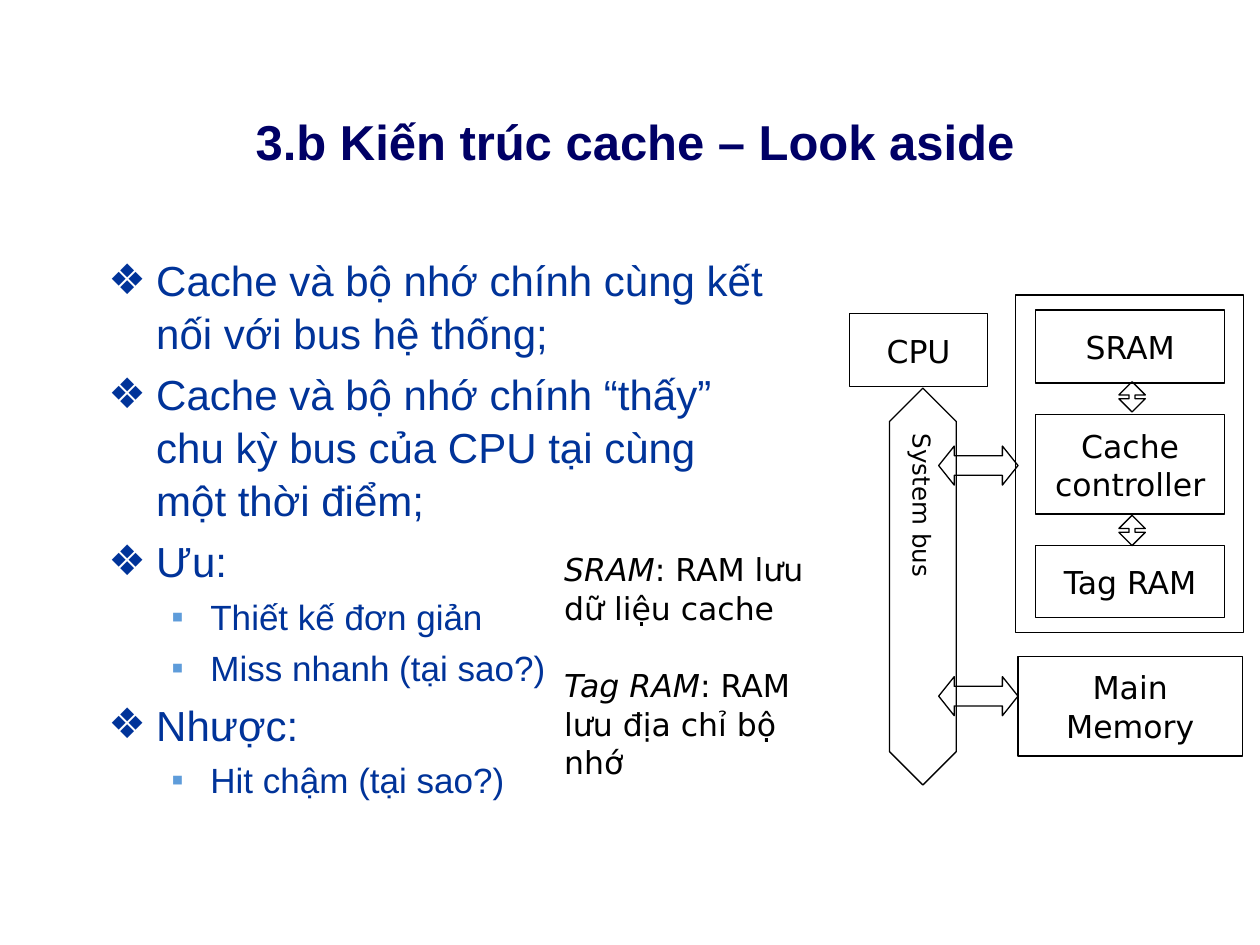
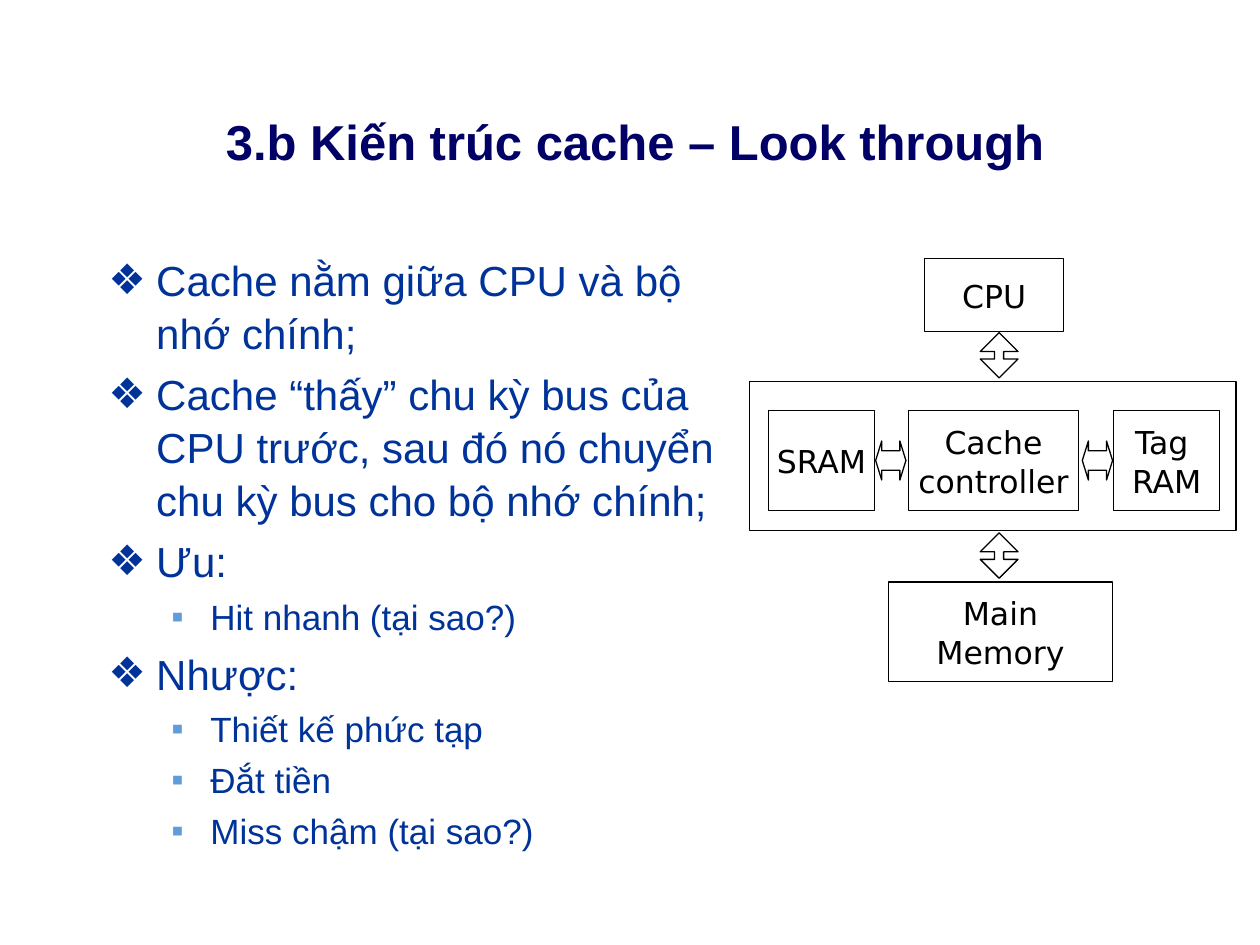
from lxml.etree import SubElement
from pptx import Presentation
from pptx.dml.color import RGBColor
from pptx.enum.shapes import MSO_SHAPE as SHAPE
from pptx.enum.text import MSO_ANCHOR as ANCHOR, MSO_AUTO_SIZE as AUTO, PP_ALIGN as ALIGN
from pptx.oxml.ns import qn
from pptx.util import Inches, Pt

NAVY, BLUE, SKY, BLACK = "000066", "003399", "5E9CDA", "000000"
HEAD, DIAGRAM = "Arial", "DejaVu Sans"
LEVELS = [
    dict(size=24, bullet="❖", color=BLUE, left=0.38, hang=0.38),
    dict(size=20, bullet="▪", color=SKY, left=0.81, hang=0.31),
]
CPU_SIZE = (1.1, 0.58)
MEMORY_SIZE = (1.78, 0.79)


def rgb(value):
    return RGBColor.from_string(value)


class Deck:
    def __init__(self):
        self.prs = Presentation()
        self.prs.slide_width, self.prs.slide_height = Inches(10), Inches(7.5)
        self.slide = None

    def place(self, sp, x, y, w, h):
        sp.left, sp.top, sp.width, sp.height = (Inches(v) for v in (x, y, w, h))

    def run(self, p, text, size, font=DIAGRAM, color=BLACK, bold=False, italic=False):
        r = p.add_run()
        r.text = text
        r.font.name, r.font.size = font, Pt(size)
        r.font.bold, r.font.italic = bold, italic
        r.font.color.rgb = rgb(color)

    def new_slide(self, title):
        self.slide = self.prs.slides.add_slide(self.prs.slide_layouts[1])
        sp = self.slide.shapes.title
        self.place(sp, 0.25, 0.83, 9.58, 0.57)
        tf = sp.text_frame
        tf.auto_size, tf.vertical_anchor = AUTO.NONE, ANCHOR.MIDDLE
        p = tf.paragraphs[0]
        p.alignment = ALIGN.CENTER
        self.run(p, title, 28, HEAD, NAVY, bold=True)

    def bullets(self, width, items):
        sp = self.slide.placeholders[1]
        self.place(sp, 0.76, 1.95, width, 4.76)
        tf = sp.text_frame
        tf.auto_size, tf.vertical_anchor = AUTO.NONE, ANCHOR.TOP
        for i, (level, text) in enumerate(items):
            style = LEVELS[level]
            p = tf.add_paragraph() if i else tf.paragraphs[0]
            p.level = level
            p.line_spacing = 1.05
            p.space_before = Pt(0.2 * style["size"])
            self.run(p, text, style["size"], HEAD, BLUE)
            pPr = p._p.get_or_add_pPr()
            pPr.set("marL", str(Inches(style["left"])))
            pPr.set("indent", str(-Inches(style["hang"])))
            SubElement(SubElement(pPr, qn("a:buClr")), qn("a:srgbClr"), val=style["color"])
            SubElement(pPr, qn("a:buFont"), typeface=HEAD)
            SubElement(pPr, qn("a:buChar"), char=style["bullet"])

    def shape(self, kind, x, y, w, h):
        sp = self.slide.shapes.add_shape(kind, *(Inches(v) for v in (x, y, w, h)))
        sp.shadow.inherit = False
        sp.fill.background()
        sp.line.color.rgb = rgb(BLACK)
        sp.line.width = Pt(0.75)
        return sp

    def label(self, sp, text, size=18):
        tf = sp.text_frame
        tf.word_wrap, tf.vertical_anchor = False, ANCHOR.MIDDLE
        p = tf.paragraphs[0]
        p.alignment = ALIGN.CENTER
        p.line_spacing = 1.03
        for i, line in enumerate(text.split("\n")):
            if i:
                p.add_line_break()
            self.run(p, line, size)

    def box(self, x, y, w, h, text=None):
        sp = self.shape(SHAPE.RECTANGLE, x, y, w, h)
        if text:
            self.label(sp, text)

    def arrow(self, kind, x, y, w, h, head):
        sp = self.shape(kind, x, y, w, h)
        sp.adjustments[0], sp.adjustments[1] = 0.5, head
        return sp

    def glossary(self, x, y, w, h, entries):
        tf = self.slide.shapes.add_textbox(*(Inches(v) for v in (x, y, w, h))).text_frame
        tf.word_wrap = True
        for i, (term, meaning) in enumerate(entries):
            p = tf.add_paragraph() if i else tf.paragraphs[0]
            p.line_spacing = 1.03
            p.space_before = Pt(21.5 if i else 0)
            self.run(p, term, 18, italic=True)
            self.run(p, meaning, 18)


def look_aside(deck):
    deck.new_slide("3.b Kiến trúc cache – Look aside")
    deck.bullets(5.43, [
        (0, "Cache và bộ nhớ chính cùng kết nối với bus hệ thống;"),
        (0, "Cache và bộ nhớ chính “thấy” chu kỳ bus của CPU tại cùng một thời điểm;"),
        (0, "Ưu:"),
        (1, "Thiết kế đơn giản"),
        (1, "Miss nhanh (tại sao?)"),
        (0, "Nhược:"),
        (1, "Hit chậm (tại sao?)"),
    ])
    for y, h, text in [(2.46, 0.58, "SRAM"), (3.29, 0.79, "Cache\ncontroller"),
                       (4.33, 0.57, "Tag RAM")]:
        deck.box(8.22, y, 1.5, h, text)
    for y in (3.03, 4.09):
        deck.arrow(SHAPE.UP_DOWN_ARROW, 8.88, y, 0.21, 0.24, 0.23)
    deck.box(8.06, 2.34, 1.81, 2.68)
    deck.box(8.08, 5.21, *MEMORY_SIZE, "Main\nMemory")
    deck.box(6.74, 2.49, *CPU_SIZE, "CPU")
    bus = deck.arrow(SHAPE.UP_DOWN_ARROW, 7.06, 3.08, 0.53, 3.15, 1.19)
    deck.label(bus, "System bus", 14)
    bus.text_frame._txBody.bodyPr.set("vert", "eaVert")
    for y in (5.37, 3.54):
        deck.arrow(SHAPE.LEFT_RIGHT_ARROW, 7.45, y, 0.63, 0.31, 0.4)
    deck.glossary(4.38, 4.31, 2.36, 1.9, [
        ("SRAM", ": RAM lưu dữ liệu cache"),
        ("Tag RAM", ": RAM lưu địa chỉ bộ nhớ"),
    ])


def look_through(deck):
    deck.new_slide("3.b Kiến trúc cache – Look through")
    deck.bullets(5.08, [
        (0, "Cache nằm giữa CPU và bộ nhớ chính;"),
        (0, "Cache “thấy” chu kỳ bus của CPU trước, sau đó nó chuyển chu kỳ bus "
            "cho bộ nhớ chính;"),
        (0, "Ưu:"),
        (1, "Hit nhanh (tại sao?)"),
        (0, "Nhược:"),
        (1, "Thiết kế phức tạp"),
        (1, "Đắt tiền"),
        (1, "Miss chậm (tại sao?)"),
    ])
    deck.box(5.95, 3.03, 3.86, 1.18)
    for x, w, text in [(6.1, 0.84, "SRAM"), (7.21, 1.35, "Cache\ncontroller"),
                       (8.84, 0.84, "Tag \nRAM")]:
        deck.box(x, 3.26, w, 0.79, text)
    deck.box(7.05, 4.62, *MEMORY_SIZE, "Main\nMemory")
    deck.box(7.34, 2.05, *CPU_SIZE, "CPU")
    for x in (6.95, 8.59):
        deck.arrow(SHAPE.LEFT_RIGHT_ARROW, x, 3.5, 0.24, 0.31, 0.2)
    for y in (2.64, 4.23):
        deck.arrow(SHAPE.UP_DOWN_ARROW, 7.78, y, 0.3, 0.36, 0.24)


def main():
    deck = Deck()
    look_aside(deck)
    look_through(deck)
    deck.prs.save("out.pptx")


if __name__ == "__main__":
    main()
